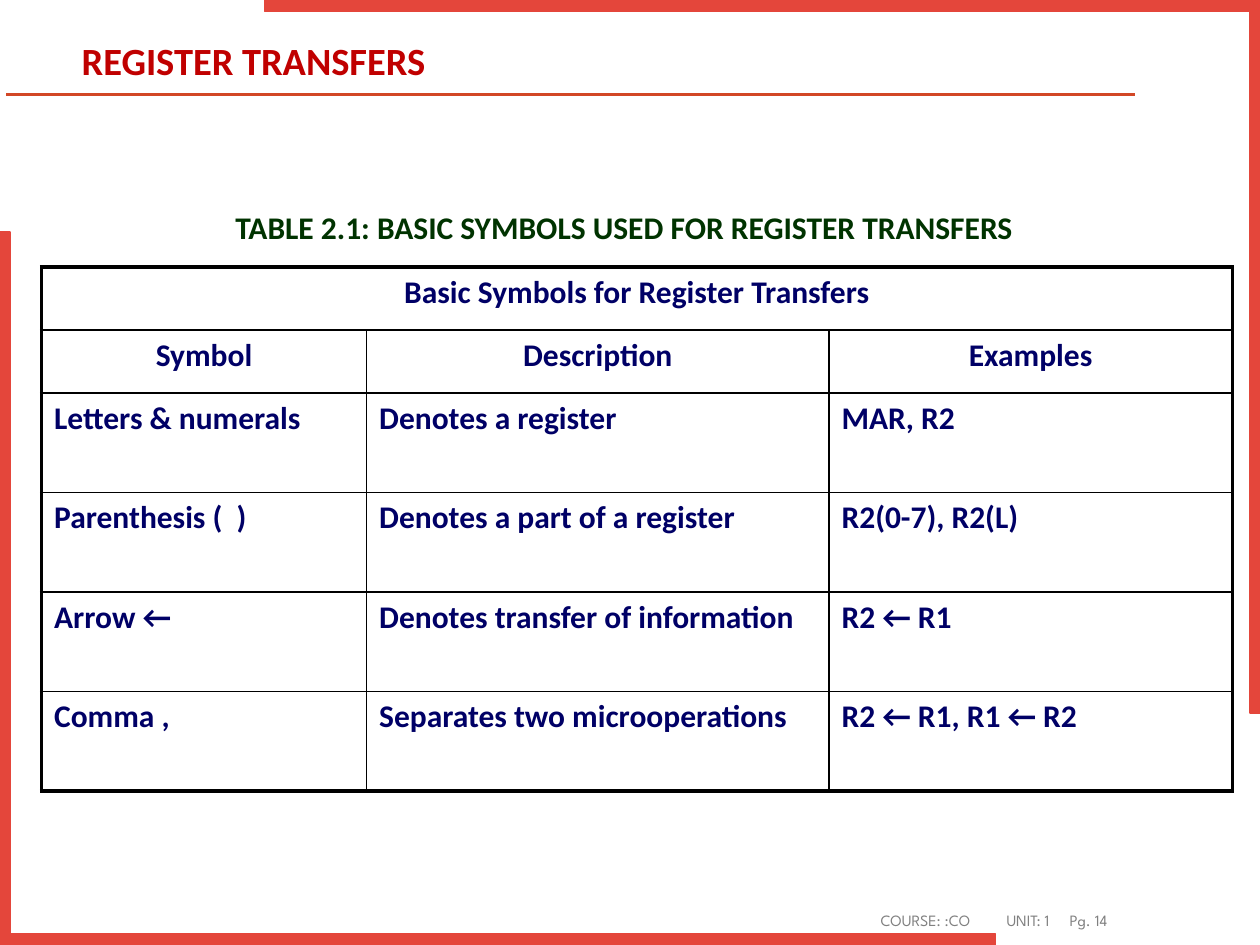
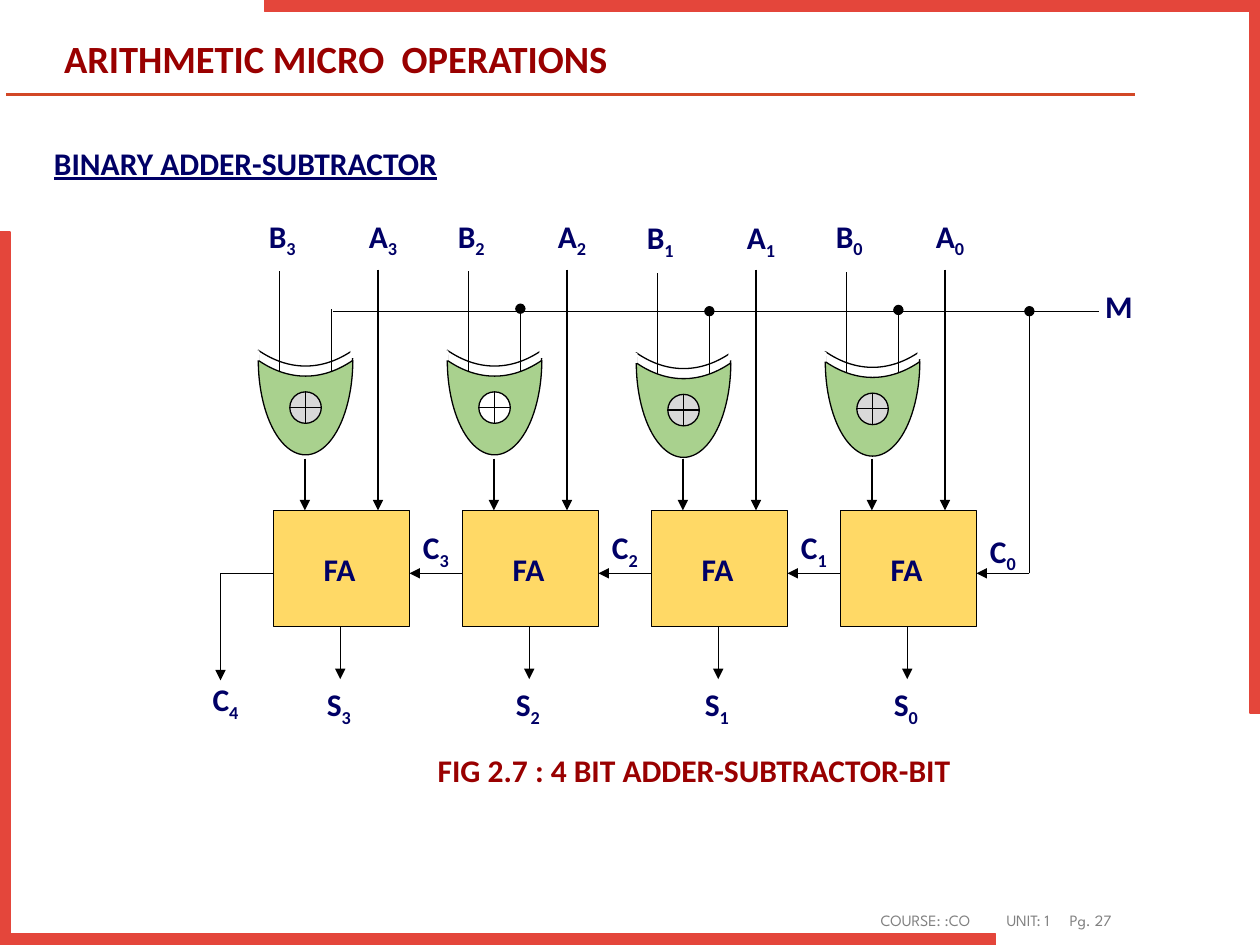
"""Build two computer organisation slides: register transfer symbols and a 4-bit adder-subtractor."""
from lxml import etree
from pptx import Presentation
from pptx.dml.color import RGBColor
from pptx.enum.shapes import MSO_CONNECTOR, MSO_SHAPE
from pptx.enum.text import MSO_ANCHOR, PP_ALIGN
from pptx.oxml.ns import qn
from pptx.util import Pt

PX = 9144
LEFT, CENTER = PP_ALIGN.LEFT, PP_ALIGN.CENTER
MIDDLE = MSO_ANCHOR.MIDDLE
STRAIGHT = MSO_CONNECTOR.STRAIGHT
CORNER, RECT = MSO_SHAPE.CORNER, MSO_SHAPE.RECTANGLE
MOON, XOR_SIGN = MSO_SHAPE.MOON, MSO_SHAPE.FLOWCHART_OR
RED, RULE, GREY = "E4463B", "D24726", "808080"
NAVY, MAROON, BLACK, WHITE = "000066", "990000", "000000", "FFFFFF"
GATE, ADDER, SIGN = "A9D18E", "FFD966", "D9D9D9"
rgb = RGBColor.from_string


def write(slide, box, text, colour, size=18, align=LEFT, index="", cell=None, font="Calibri", bold=True):
    """Write one paragraph in a new text box, or in a table cell, and return its frame."""
    if cell is None:
        frame = slide.shapes.add_textbox(*[length * PX for length in box]).text_frame
        frame.word_wrap = True
    else:
        frame = cell.text_frame
    paragraph = frame.paragraphs[0]
    paragraph.alignment = align
    for part in filter(None, (text, index)):
        run = paragraph.add_run()
        run.text = part
        run.font.name, run.font.size, run.font.bold = font, Pt(size), bold
        run.font.color.rgb = rgb(colour)
    if index:
        run._r.get_or_add_rPr().set("baseline", "-25000")
    return frame


def draw(slide, geometry, box, fill=None, line=BLACK, width=0.75, turn=0, adjust=(), end=None):
    """Draw a preset shape in a box, or a straight line between two points."""
    lengths = [length * PX for length in box]
    if geometry is STRAIGHT:
        drawn = slide.shapes.add_connector(geometry, *lengths)
    else:
        drawn = slide.shapes.add_shape(geometry, *lengths)
        drawn.shadow.inherit = False
        drawn.rotation = turn
        for position, value in enumerate(adjust):
            drawn.adjustments[position] = value
        if fill:
            drawn.fill.solid()
            drawn.fill.fore_color.rgb = rgb(fill)
        else:
            drawn.fill.background()
    if line:
        drawn.line.color.rgb = rgb(line)
        drawn.line.width = Pt(width)
    else:
        drawn.line.fill.background()
    if end:
        etree.SubElement(drawn.element.spPr.find(qn("a:ln")), qn("a:tailEnd"), type=end)
    if geometry is STRAIGHT:
        etree.SubElement(drawn.element.spPr, qn("a:effectLst"))


deck = Presentation()
deck.slide_width, deck.slide_height = 1000 * PX, 750 * PX

pages = []
for title, title_box, title_colour, number in (
    ("REGISTER TRANSFERS", (55, 20, 735, 60), "C00000", 14),
    ("ARITHMETIC MICRO  OPERATIONS", (41, 17, 749, 63), MAROON, 27),
):
    page = deck.slides.add_slide(deck.slide_layouts[6])
    draw(page, STRAIGHT, (5, 75, 901, 75), line=RULE, width=2)
    for bracket, turn in (((210, 0, 790, 566), 180), ((0, 184, 790, 566), 0)):
        draw(page, CORNER, bracket, RED, RED, 1, turn, (0.016, 0.014))
    footer = write(page, (689, 718, 250, 22), f"COURSE: :CO\tUNIT: 1\tPg. {number}", GREY, 9,
                   font="League Spartan", bold=False)
    tabs = etree.SubElement(footer.paragraphs[0]._p.get_or_add_pPr(), qn("a:tabLst"))
    for stop in (100, 150):
        etree.SubElement(tabs, qn("a:tab"), pos=str(stop * PX), algn="l")
    heading = write(page, title_box, title, title_colour, 22)
    heading.vertical_anchor = MIDDLE
    heading.paragraphs[0].line_spacing = 0.9
    pages.append(page)
transfers, arithmetic = pages

caption = write(transfers, (177, 165, 660, 132),
                "TABLE 2.1: BASIC SYMBOLS USED FOR REGISTER TRANSFERS", "003300")
caption.paragraphs[0].line_spacing = Pt(18)

symbols = (
    ("Basic Symbols for Register Transfers", "", ""),
    ("Symbol", "Description", "Examples"),
    ("Letters & numerals", "Denotes a register", "MAR, R2"),
    ("Parenthesis (  )", "Denotes a part of a register", "R2(0-7), R2(L)"),
    ("Arrow ←", "Denotes transfer of information", "R2 ← R1"),
    ("Comma ,", "Separates two microoperations", "R2 ← R1, R1 ← R2"),
)
widths, heights = (258, 367, 320), (50, 50, 79, 79, 79, 79)
table = transfers.shapes.add_table(
    len(heights), len(widths), 33 * PX, 212 * PX, sum(widths) * PX, sum(heights) * PX).table
table.first_row = table.horz_banding = False
for column, width in zip(table.columns, widths):
    column.width = width * PX
for row, height in zip(table.rows, heights):
    row.height = height * PX
table.cell(0, 0).merge(table.cell(0, 2))
for r, entries in enumerate(symbols):
    for c, entry in enumerate(entries):
        cell = table.cell(r, c)
        if entry:
            write(transfers, None, entry, NAVY, align=CENTER if r < 2 else LEFT, cell=cell)
        outer = {"L": c == 0, "R": c == 2 or r == 0, "T": r == 0, "B": r == 5}
        for side, thick in outer.items():
            border = etree.SubElement(cell._tc.get_or_add_tcPr(), qn(f"a:ln{side}"),
                                      w=str(int(Pt(2.25 if thick else 1))))
            ink = etree.SubElement(border, qn("a:solidFill"))
            etree.SubElement(ink, qn("a:srgbClr"), val=BLACK)
        cell.fill.background()

topic = write(arithmetic, (33, 103, 935, 605), "BINARY ADDER-SUBTRACTOR", NAVY).paragraphs[0]
topic.line_spacing, topic.space_before = 1.2, Pt(7.5)
topic.runs[0].font.underline = True

for bit, gate_top in ((0, 279), (1, 280), (2, 278), (3, 278)):
    x = 150 * (3 - bit)
    draw(arithmetic, RECT, (x + 217, 405, 108, 92), ADDER)
    write(arithmetic, (x + 228, 432, 83, 40), "FA", NAVY, align=CENTER)
    for letter, left, top in (("B", 195, 167), ("A", 275, 167), ("C", 317, 414), ("S", 240, 539)):
        lower = {("A", 1): 1, ("B", 1): 1, ("C", 0): 3}.get((letter, bit), 0)
        write(arithmetic, (x + left, top + lower, 58, 40), letter, NAVY, align=CENTER, index=str(bit))

    draw(arithmetic, MOON, (x + 205, gate_top, 75, 75), turn=270, adjust=(0.833,))
    draw(arithmetic, MOON, (x + 205, gate_top + 8, 75, 75), GATE, turn=270, adjust=(0.833,))
    draw(arithmetic, RECT, (x + 198, gate_top, 8, 8), WHITE, None)
    draw(arithmetic, RECT, (x + 278, gate_top - 2, 9, 8), WHITE, None)
    draw(arithmetic, XOR_SIGN, (x + 230, gate_top + 33, 25, 25), WHITE if bit == 2 else SIGN)

    draw(arithmetic, STRAIGHT, (x + 222, gate_top + 17, x + 222, gate_top - 63))
    draw(arithmetic, STRAIGHT, (x + 263, gate_top + 17, x + 263, gate_top - 33),
         end=None if bit == 3 else "oval")
    for arrow in ((242, 364, 242, 405), (300, 214, 300, 405), (367, 455, 325, 455), (270, 497, 270, 539)):
        x1, y1, x2, y2 = arrow
        draw(arithmetic, STRAIGHT, (x + x1, y1, x + x2, y2), end="triangle")

for wire, end in (
    ((264, 247, 872, 247), None),
    ((817, 455, 817, 247), "oval"),
    ((217, 455, 175, 455), None),
    ((175, 455, 175, 540), "triangle"),
):
    draw(arithmetic, STRAIGHT, wire, end=end)
write(arithmetic, (150, 535, 58, 40), "C", NAVY, align=CENTER, index="4")
write(arithmetic, (863, 223, 50, 40), "M", NAVY, align=CENTER)
write(arithmetic, (259, 591, 584, 40), "FIG 2.7 : 4 BIT ADDER-SUBTRACTOR-BIT", MAROON, align=CENTER)

deck.save("out.pptx")
